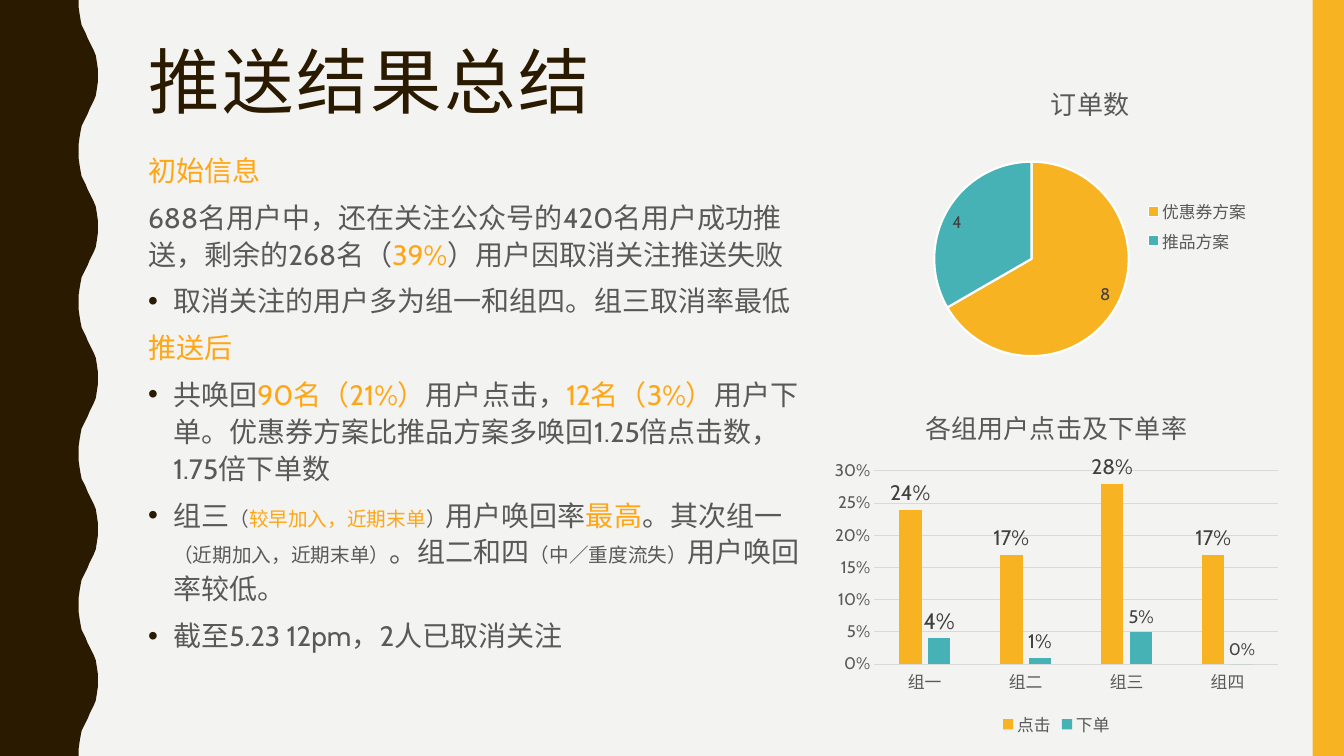
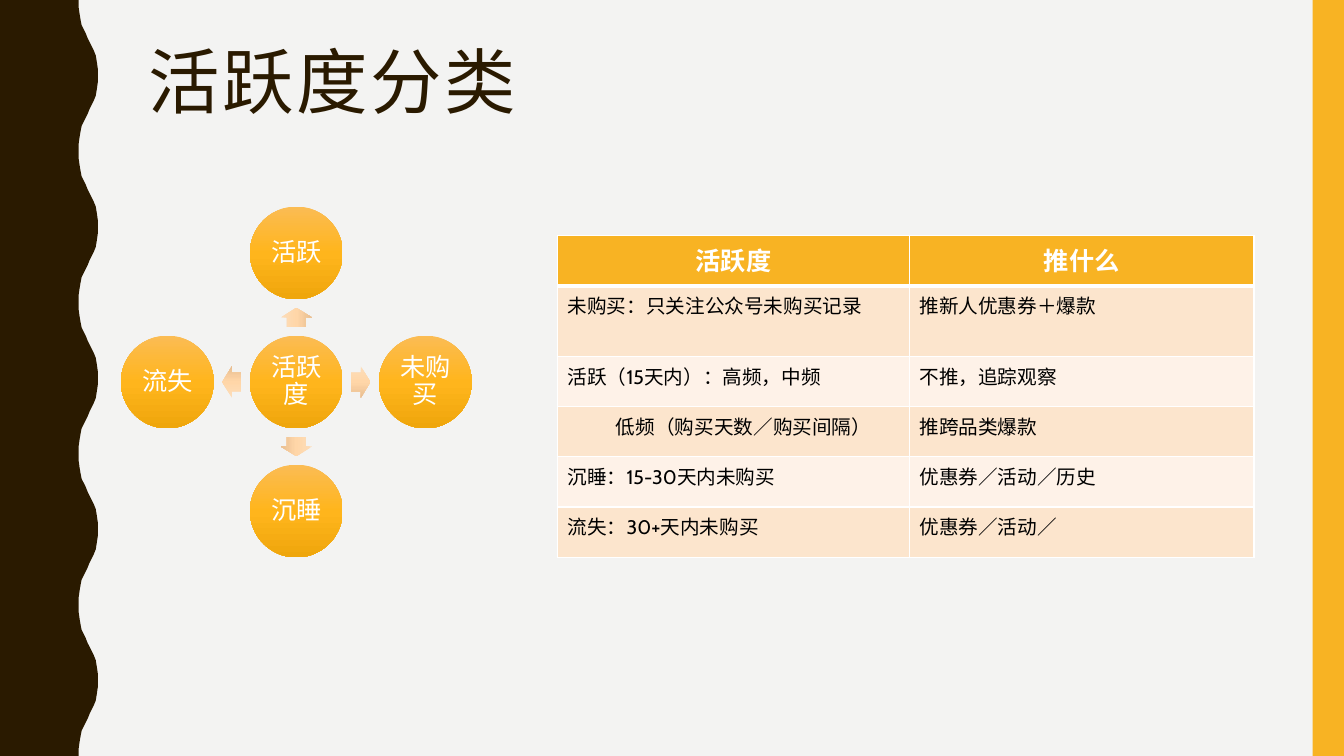
from copy import deepcopy
from lxml.etree import SubElement as Sub
from pptx import Presentation
from pptx.chart.data import CategoryChartData as Data
from pptx.dml.color import RGBColor as Rgb
from pptx.enum.chart import XL_CHART_TYPE as Kind, XL_LABEL_POSITION as Spot
from pptx.enum.chart import XL_LEGEND_POSITION as Side, XL_TICK_MARK as Tick
from pptx.enum.shapes import MSO_SHAPE as Form
from pptx.enum.text import MSO_ANCHOR as Anchor, PP_ALIGN as Align
from pptx.oxml.ns import qn
from pptx.util import Inches, Pt

BROWN = Rgb(0x2A, 0x1A, 0x00)
AMBER = Rgb(0xF8, 0xB3, 0x23)
GOLD = Rgb(0xFF, 0xA6, 0x15)
TEAL = Rgb(0x46, 0xB2, 0xB5)
GREY = Rgb(0x59, 0x59, 0x59)
DARK = Rgb(0x40, 0x40, 0x40)
PALE = Rgb(0xD9, 0xD9, 0xD9)
PAPER = Rgb(0xF3, 0xF3, 0xF2)
WHITE = Rgb(0xFF, 0xFF, 0xFF)
BLACK = Rgb(0x00, 0x00, 0x00)
BANDS = [Rgb(0xFE, 0xF2, 0xE8), Rgb(0xFC, 0xE5, 0xCD)]
BALL = [Rgb(0xFB, 0xBC, 0x54), Rgb(0xFF, 0xB5, 0x1C), Rgb(0xEF, 0xA6, 0x0C)]
ARROW = [Rgb(0xFC, 0xDD, 0xBA), Rgb(0xFF, 0xD6, 0xA8), Rgb(0xE8, 0xBE, 0x91)]

deck = Presentation()
deck.slide_width, deck.slide_height = Inches(13.33), Inches(7.5)
COL, ROW = deck.slide_width / 100, deck.slide_height / 100


def box(x, y, w, h):
    return int(x * COL), int(y * ROW), int(w * COL), int(h * ROW)


def write(para, *runs, size=20, color=GREY, font="Cabin", bold=False,
          align=Align.LEFT, lead=None, gap=None, dent=0, dot=False, track=0):
    para.alignment, para.line_spacing = align, lead
    if gap:
        para.space_before = Pt(gap)
    props = para._p.get_or_add_pPr()
    if dent:
        props.set("marL", str(Inches(dent)))
    if dot:
        props.set("indent", str(-Inches(dent)))
        Sub(Sub(props, qn("a:buClr")), qn("a:srgbClr"), val=str(BROWN))
        Sub(props, qn("a:buFont"), typeface="Arial")
        Sub(props, qn("a:buChar"), char="•")
    for item in runs:
        words, ink, pts = (item, color, size) if isinstance(item, str) else item
        run = para.add_run()
        run.text = words
        run.font.name, run.font.size, run.font.bold = font, Pt(pts), bold
        run.font.color.rgb = ink
        if track:
            run._r.get_or_add_rPr().set("spc", str(track * 100))


deck.slide_master.background.fill.solid()
deck.slide_master.background.fill.fore_color.rgb = PAPER

RIM = [78, 78, 79, 80, 81, 83, 85, 87, 89, 91, 93, 95, 96, 97, 97]
DROP = [0, 7, 14, 20, 25, 29, 33, 38, 42, 46, 50, 55, 61, 68, 75]
wave = [(x, 75 * half + y) for half in range(10)
        for x, y in zip(RIM[::-1] if half % 2 else RIM, DROP)]

slides = []
for name in ["推送结果总结", "活跃度分类"]:
    slide = deck.slides.add_slide(deck.slide_layouts[6])
    pen = slide.shapes.build_freeform(0, 0, scale=Inches(0.01))
    pen.add_line_segments(wave + [(0, 750)], close=True)
    edge = pen.convert_to_shape()
    bar = slide.shapes.add_shape(Form.RECTANGLE, *box(97.66, 0, 2.34, 100))
    for shape, tint in [(edge, BROWN), (bar, AMBER)]:
        shape.shadow.inherit = False
        shape.fill.solid()
        shape.fill.fore_color.rgb = tint
        shape.line.fill.background()
    head = slide.shapes.add_textbox(*box(10.28, 5.6, 83.48, 21.73)).text_frame
    head.word_wrap = True
    write(head.paragraphs[0], name, size=51, color=BROWN,
          font="Arial Narrow", lead=0.9, track=2)
    slides.append(slide)
first, second = slides

notes = [
    (False, [("初始信息", GOLD, 20)]),
    (False, ["688名用户中，还在关注公众号的420名用户成功推送，剩余的268名（",
             ("39%", GOLD, 20), "）用户因取消关注推送失败"]),
    (True, ["取消关注的用户多为组一和组四。组三取消率最低"]),
    (False, [("推送后", GOLD, 20)]),
    (True, ["共唤回", ("90名（21%）", GOLD, 20), "用户点击，",
            ("12名（3%）", GOLD, 20),
            "用户下单。优惠券方案比推品方案多唤回1.25倍点击数，1.75倍下单数"]),
    (True, ["组三", ("（", GREY, 14), ("较早加入，近期末单", GOLD, 14),
            ("）", GREY, 14), "用户唤回率", ("最高", GOLD, 20), "。其次组一",
            ("（近期加入，近期末单）", GREY, 14), "。组二和四",
            ("（中／重度流失）", GREY, 14), "用户唤回率较低。"]),
    (True, ["截至5.23 12pm，2人已取消关注"]),
]
body = first.shapes.add_textbox(*box(10.28, 19.2, 50.18, 73.73)).text_frame
body.word_wrap = True
for num, (dot, runs) in enumerate(notes):
    para = body.add_paragraph() if num else body.paragraphs[0]
    write(para, *runs, lead=1.1, gap=7, dot=dot, dent=0.25 if dot else 0)

rates = Data(number_format="0%")
rates.categories = ["组一", "组二", "组三", "组四"]
rates.add_series("点击", [0.24, 0.17, 0.28, 0.17])
rates.add_series("下单", [0.04, 0.01, 0.05, 0])
sales = Data(number_format="General")
sales.categories = ["优惠券方案", "推品方案"]
sales.add_series("订单数", [8, 4])

charts = []
for kind, area, data, name, side, spot in [
    (Kind.COLUMN_CLUSTERED, (61.43, 51.33, 34.35, 46.67), rates,
     "各组用户点击及下单率", Side.BOTTOM, Spot.OUTSIDE_END),
    (Kind.PIE, (68.48, 8.53, 25.28, 42.8), sales,
     "订单数", Side.RIGHT, Spot.INSIDE_END),
]:
    chart = first.shapes.add_chart(kind, *box(*area), data).chart
    chart.font.name, chart.font.size = "Cabin", Pt(12)
    chart.font.color.rgb = GREY
    chart.has_title = chart.has_legend = True
    write(chart.chart_title.text_frame.paragraphs[0], name, size=18.6,
          align=Align.CENTER)
    chart.chart_title.include_in_layout = False
    chart.legend.position = side
    chart.legend.include_in_layout = False
    plot = chart.plots[0]
    plot.vary_by_categories = kind == Kind.PIE
    for row in plot.series:
        tags = row.data_labels
        tags.show_value, tags.position = True, spot
        tags.font.name, tags.font.size = "Cabin", Pt(12)
        tags.font.color.rgb = DARK
    charts.append(chart)
bars, pie = charts

bars.plots[0].gap_width, bars.plots[0].overlap = 219, -27
for row, tint, sizes in zip(bars.plots[0].series, [AMBER, TEAL],
                            [[15] * 4, [16, 14, 13]]):
    row.format.fill.solid()
    row.format.fill.fore_color.rgb = tint
    for num, pts in enumerate(sizes):
        tag = row.points[num].data_label
        tag.font.name, tag.font.size = "Cabin", Pt(pts)
        tag.font.color.rgb = DARK
        tag.position = Spot.OUTSIDE_END
for axis in [bars.category_axis, bars.value_axis]:
    axis.major_tick_mark = axis.minor_tick_mark = Tick.NONE
base, scale = bars.category_axis, bars.value_axis
scale.minimum_scale, scale.maximum_scale, scale.major_unit = 0, 0.3, 0.05
scale.tick_labels.number_format = "0%"
scale.tick_labels.number_format_is_linked = False
scale.format.line.fill.background()
for line in [base.format.line, scale.major_gridlines.format.line]:
    line.color.rgb, line.width = PALE, Pt(0.75)

for num, tint in enumerate([AMBER, TEAL]):
    part = pie.plots[0].series[0].points[num].format
    part.fill.solid()
    part.fill.fore_color.rgb = tint
    part.line.color.rgb, part.line.width = WHITE, Pt(1.5)

MID, PITCH, DISC, TIP = (22.05, 50.53), (9.6, 17.07), (6.9, 12.27), (1.43, 4.13)
parts = []
for name, dx, dy, turn in [("活跃度", 0, 0, None), ("活跃", 0, -1, 270),
                           ("未购买", 1, 0, 0), ("沉睡", 0, 1, 90),
                           ("流失", -1, 0, 180)]:
    parts.append((Form.OVAL, dx, dy, DISC, BALL, 0, name))
    if turn is not None:
        parts.append((Form.RIGHT_ARROW, dx / 2, dy / 2, TIP, ARROW, turn, None))
for form, dx, dy, (w, h), tints, turn, name in parts:
    x, y = MID[0] + dx * PITCH[0], MID[1] + dy * PITCH[1]
    shape = second.shapes.add_shape(form, *box(x - w / 2, y - h / 2, w, h))
    shape.shadow.inherit = False
    shape.rotation = turn
    shape.line.fill.background()
    shape.fill.gradient()
    shape.fill.gradient_angle = 270
    stops = shape._element.spPr.find(".//" + qn("a:gsLst"))
    stops.insert(1, deepcopy(stops[0]))
    for stop, tint, place in zip(shape.fill.gradient_stops, tints, [0, 0.5, 1]):
        stop.color.rgb, stop.position = tint, place
    if name:
        frame = shape.text_frame
        frame.word_wrap, frame.vertical_anchor = True, Anchor.MIDDLE
        frame.margin_left = frame.margin_right = Inches(0.03)
        frame.margin_top = frame.margin_bottom = Inches(0.03)
        write(frame.paragraphs[0], name, size=18, color=WHITE,
              align=Align.CENTER, lead=0.9)
    else:
        shape.adjustments[0], shape.adjustments[1] = 0.6, 0.5

plans = [
    ("活跃度", "推什么"),
    ("未购买：只关注公众号未购买记录", "推新人优惠券＋爆款"),
    ("活跃（15天内）：高频，中频", "不推，追踪观察"),
    ("低频（购买天数／购买间隔）", "推跨品类爆款"),
    ("沉睡：15-30天内未购买", "优惠券／活动／历史"),
    ("流失：30+天内未购买", "优惠券／活动／"),
]
grid = second.shapes.add_table(len(plans), 2, *box(41.48, 31.2, 51.83, 42.53)).table
grid.columns[0].width, grid.columns[1].width = int(26.18 * COL), int(25.65 * COL)
for r, pair in enumerate(plans):
    grid.rows[r].height = int((9.33 if r == 1 else 6.64) * ROW)
    for c, words in enumerate(pair):
        cell = grid.cell(r, c)
        props = cell._tc.get_or_add_tcPr()
        for side in "LRTB":
            thick = (r, side) in [(0, "B"), (1, "T")]
            rule = Sub(props, qn("a:ln" + side), w=str(Pt(3 if thick else 1)))
            Sub(Sub(rule, qn("a:solidFill")), qn("a:srgbClr"), val=str(WHITE))
        cell.fill.solid()
        cell.fill.fore_color.rgb = BANDS[r % 2] if r else AMBER
        look = dict(size=14, color=BLACK) if r else dict(
            size=18, color=WHITE, bold=True, align=Align.CENTER)
        write(cell.text_frame.paragraphs[0], words,
              dent=0.48 if (r, c) == (3, 0) else 0, **look)

deck.save("out.pptx")
